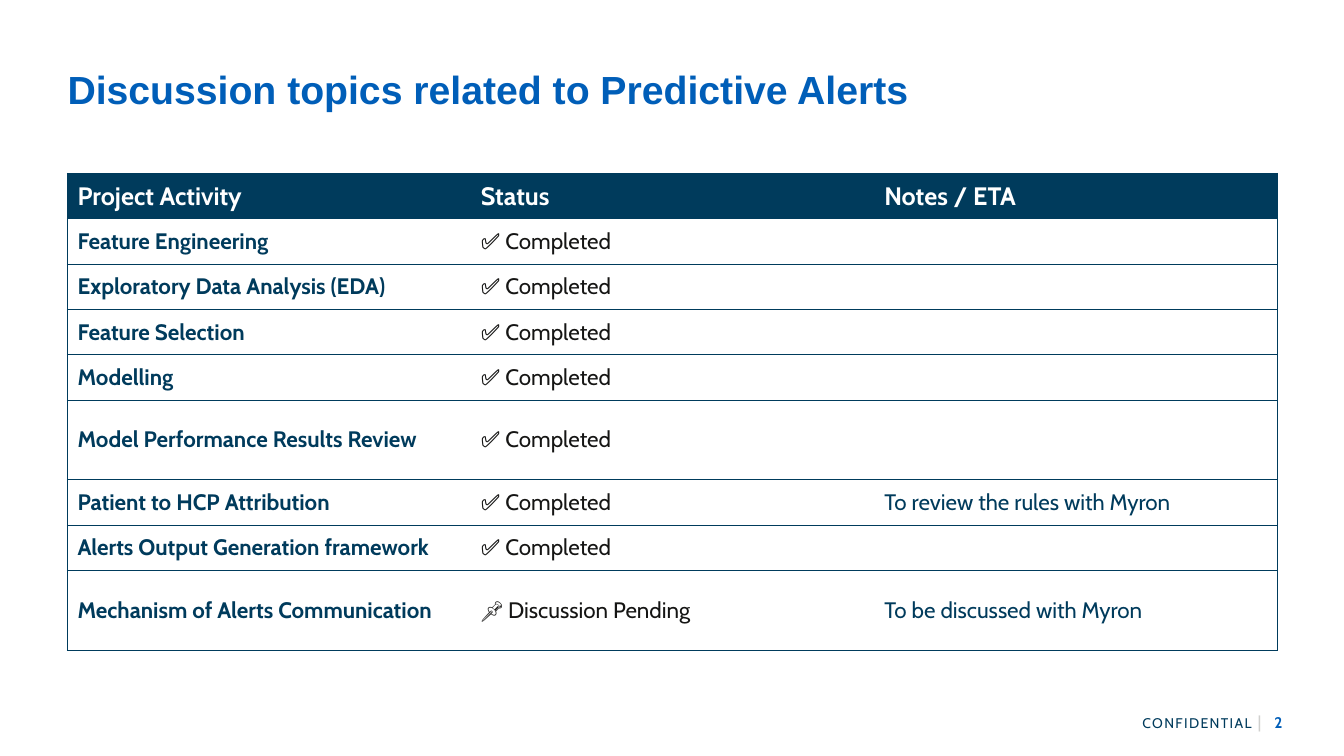
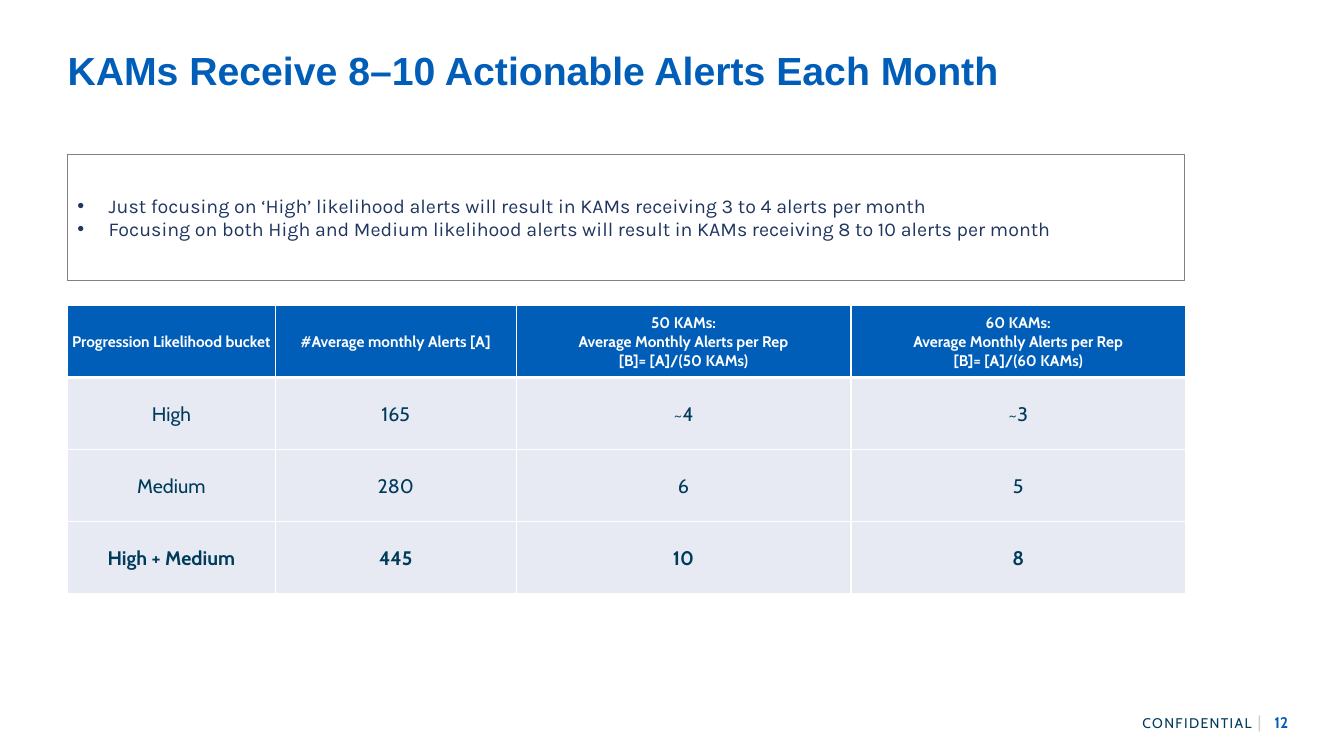
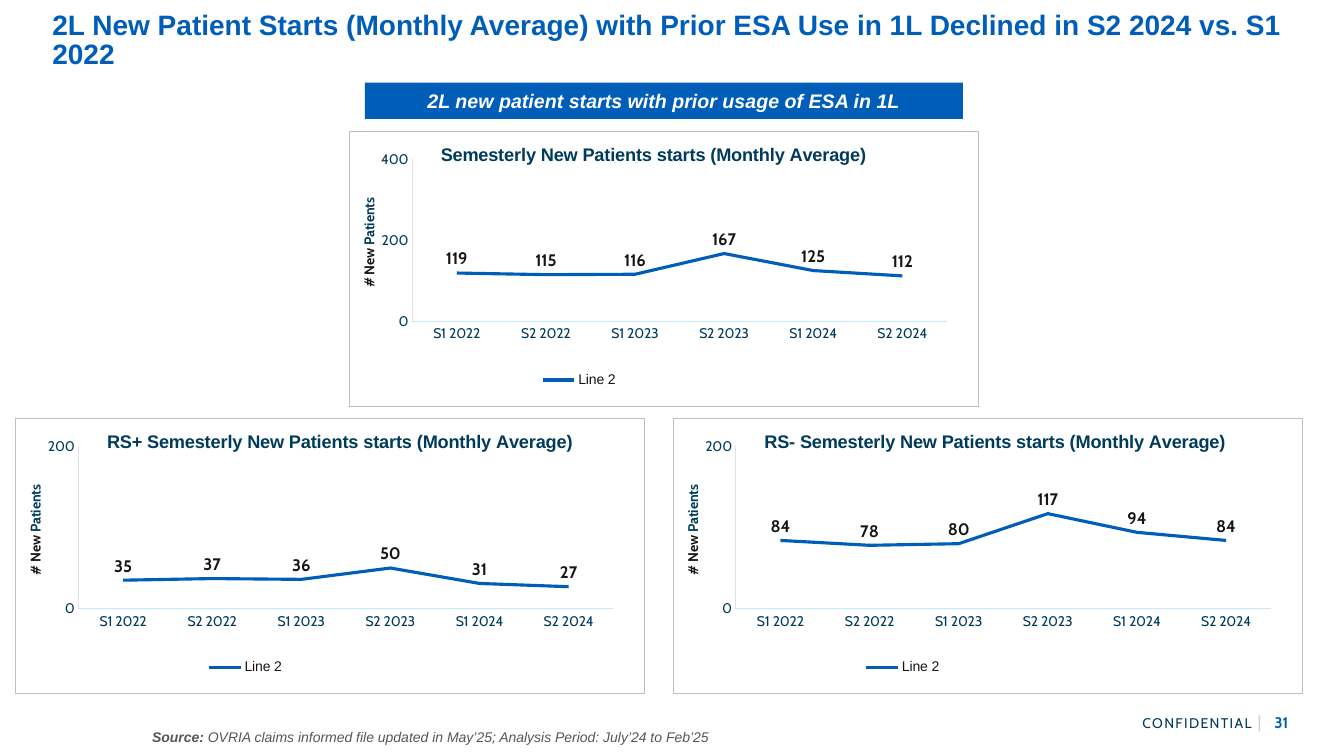
"""Build three slides on predictive alerts: project status, alert volume and new patient starts."""
from dataclasses import dataclass, replace
from typing import Optional, Sequence

from lxml import etree
from pptx import Presentation
from pptx.chart.data import CategoryChartData
from pptx.dml.color import RGBColor
from pptx.enum import chart as ch, shapes, text
from pptx.oxml.ns import qn
from pptx.util import Inches, Pt

NAVY = RGBColor(0x00, 0x3B, 0x5C)
BLUE = RGBColor(0x00, 0x5E, 0xB8)
INDIGO = RGBColor(0x20, 0x36, 0x61)
INK = RGBColor(0x15, 0x15, 0x14)
SLATE = RGBColor(0x54, 0x56, 0x5B)
GRAY = RGBColor(0x80, 0x80, 0x80)
SILVER = RGBColor(0xBF, 0xBF, 0xBF)
RULE = RGBColor(0xD0, 0xD0, 0xCE)
SKY = RGBColor(0xC0, 0xE9, 0xFF)
MIST = RGBColor(0xDB, 0xE3, 0xE7)
LILAC = RGBColor(0xE7, 0xEA, 0xF3)
WHITE = RGBColor(0xFF, 0xFF, 0xFF)

CENTER, RIGHT = text.PP_ALIGN.CENTER, text.PP_ALIGN.RIGHT
TOP, MIDDLE, BOTTOM = text.MSO_ANCHOR.TOP, text.MSO_ANCHOR.MIDDLE, text.MSO_ANCHOR.BOTTOM
FLUSH = (0, 0, 0, 0)
PADDED = (0.1, 0.05, 0.1, 0.05)
TITLE_BOX = (0.67, 0.26, 12, 0.86)
PERIODS = [f"S{half} {year}" for year in (2022, 2023, 2024) for half in (1, 2)]


@dataclass(frozen=True)
class Style:
    size: float
    color: RGBColor
    name: str = "Cabin"
    bold: bool = False
    italic: bool = False


@dataclass(frozen=True)
class Border:
    color: Optional[RGBColor]
    width: float = 1


@dataclass(frozen=True)
class LineChart:
    left: float
    top: float
    title: str
    maximum: int
    values: Sequence[int]


TITLE = Style(28, BLUE, "Arial", bold=True)
BODY = Style(16, NAVY)
AXIS = Style(10, NAVY)

STATUS_ROWS = [
    ("Feature Engineering", "✅ Completed", ""),
    ("Exploratory Data Analysis (EDA)", "✅ Completed", ""),
    ("Feature Selection", "✅ Completed", ""),
    ("Modelling", "✅ Completed", ""),
    ("Model Performance Results Review", "✅ Completed", ""),
    ("Patient to HCP Attribution", "✅ Completed", "To review the rules with Myron"),
    ("Alerts Output Generation framework", "✅ Completed", ""),
    ("Mechanism of Alerts Communication", "📌 Discussion Pending", "To be discussed with Myron"),
]
TALL_STATUS_ROWS = (5, 8)
ALERT_ROWS = [
    ("Progression Likelihood bucket", "#Average monthly Alerts [A]",
     *(f"{kams} KAMs:\nAverage Monthly Alerts per Rep\n[B]= [A]/({kams} KAMs)" for kams in (50, 60))),
    ("High", "165", "~4", "~3"),
    ("Medium", "280", "6", "5"),
    ("High + Medium", "445", "10", "8"),
]
ALERT_POINTS = [
    "Just focusing on ‘High’ likelihood alerts will result in KAMs receiving 3 to 4 alerts per month",
    "Focusing on both High and Medium likelihood alerts will result in KAMs receiving 8 to 10 alerts per month",
]
CHARTS = [
    LineChart(3.46, 1.3, "Semesterly New Patients starts (Monthly Average)", 400,
              (119, 115, 116, 167, 125, 112)),
    LineChart(0.15, 4.15, "RS+ Semesterly New Patients starts (Monthly Average)", 200,
              (35, 37, 36, 50, 31, 27)),
    LineChart(6.67, 4.15, "RS- Semesterly New Patients starts (Monthly Average)", 200,
              (84, 78, 80, 117, 94, 84)),
]


def set_font(font, style: Style) -> None:
    font.size, font.name = Pt(style.size), style.name
    font.bold, font.italic = style.bold, style.italic
    font.color.rgb = style.color


def add_run(p, words: str, style: Style):
    r = p.add_run()
    r.text = words
    set_font(r.font, style)
    return r


def set_frame(tf, anchor, insets: Sequence[float]) -> None:
    tf.word_wrap, tf.vertical_anchor = True, anchor
    tf.margin_left, tf.margin_top, tf.margin_right, tf.margin_bottom = map(Inches, insets)


def write(tf, words: str, style: Style, align=None) -> None:
    tf.text = words
    for p in tf.paragraphs:
        p.alignment = align
        set_font(p.font, style)


def add_text(s, box: Sequence[float], anchor=MIDDLE, insets=PADDED):
    tf = s.shapes.add_textbox(*map(Inches, box)).text_frame
    set_frame(tf, anchor, insets)
    return tf


def add_box(s, box: Sequence[float]):
    sp = s.shapes.add_shape(shapes.MSO_SHAPE.RECTANGLE, *map(Inches, box))
    sp.shadow.inherit = False
    set_frame(sp.text_frame, MIDDLE, PADDED)
    return sp


def new_slide(prs, number: int):
    s = prs.slides.add_slide(prs.slide_layouts[6])
    write(add_text(s, (12.64, 7.08, 0.54, 0.17), insets=FLUSH), str(number), Style(11, BLUE, bold=True))
    p = add_text(s, (11.14, 7.08, 1.47, 0.17)).paragraphs[0]
    p.alignment = RIGHT
    r = add_run(p, "CONFIDENTIAL ", AXIS)
    r._r.get_or_add_rPr().set("spc", "100")
    add_run(p, "|", Style(12, RULE))
    return s


def set_borders(cell, left: Border, right: Border, top: Border, bottom: Border) -> None:
    tc_pr = cell._tc.get_or_add_tcPr()
    for side, border in zip("LRTB", (left, right, top, bottom)):
        ln = etree.SubElement(tc_pr, qn(f"a:ln{side}"), w=str(Pt(border.width)))
        if border.color is None:
            etree.SubElement(ln, qn("a:noFill"))
        else:
            add_solid(ln, border.color)


def add_solid(parent, color: RGBColor) -> None:
    solid = etree.SubElement(parent, qn("a:solidFill"))
    etree.SubElement(solid, qn("a:srgbClr"), val=str(color))


def add_table(s, rows: int, widths: Sequence[float], box: Sequence[float]):
    table = s.shapes.add_table(rows, len(widths), *map(Inches, box)).table
    table.first_row = table.horz_banding = False
    for column, width in zip(table.columns, widths):
        column.width = Inches(width)
    return table


def fill_cell(cell, words: str, style: Style, fill: RGBColor, align=None) -> None:
    cell.fill.solid()
    cell.fill.fore_color.rgb = fill
    cell.vertical_anchor = MIDDLE
    write(cell.text_frame, words, style, align)


def add_status_table(s) -> None:
    rows = [("Project Activity", "Status", "Notes / ETA"), *STATUS_ROWS]
    table = add_table(s, len(rows), (4, 4, 4), (0.67, 1.72, 12, 4.73))
    columns = (replace(BODY, bold=True), replace(BODY, color=INK), BODY)
    edge, none = Border(NAVY), Border(None)
    for i, row in enumerate(rows):
        table.rows[i].height = Inches(0.79 if i in TALL_STATUS_ROWS else 0.45)
        for j, words in enumerate(row):
            cell = table.cell(i, j)
            set_borders(cell, edge if j == 0 else none, edge if j == 2 else none, edge, edge)
            style = columns[j] if i else Style(18, WHITE, bold=True)
            fill_cell(cell, words, style, WHITE if i else NAVY)


def add_alert_table(s) -> None:
    table = add_table(s, len(ALERT_ROWS), (2.06, 2.39, 3.32, 3.32), (0.67, 3.03, 11.08, 2.86))
    thin, thick = Border(WHITE), Border(WHITE, 3)
    last = len(ALERT_ROWS) - 1
    for i, row in enumerate(ALERT_ROWS):
        style = Style(14, NAVY, bold=i == last) if i else Style(11, WHITE, bold=True)
        for j, words in enumerate(row):
            cell = table.cell(i, j)
            set_borders(cell, thin, thin, thick if i == 1 else thin, thin if i else thick)
            cell.margin_left = cell.margin_top = cell.margin_right = Inches(0.01)
            cell.margin_bottom = 0
            fill_cell(cell, words, style, LILAC if i else BLUE, CENTER)


def write_bullets(tf, lines: Sequence[str], style: Style) -> None:
    tf.text = "\n".join(lines)
    for p in tf.paragraphs:
        p.alignment = text.PP_ALIGN.LEFT
        p_pr = p._p.get_or_add_pPr()
        p_pr.set("marL", str(Inches(0.31)))
        p_pr.set("indent", str(-Inches(0.31)))
        etree.SubElement(p_pr, qn("a:buFont"), typeface="Arial")
        etree.SubElement(p_pr, qn("a:buChar"), char="•")
        set_font(p.font, style)


def place(element, after: Optional[str], **fractions: float) -> None:
    for old in element.findall(qn("c:layout")):
        element.remove(old)
    layout = etree.Element(qn("c:layout"))
    manual = etree.SubElement(layout, qn("c:manualLayout"))
    if "w" in fractions:
        etree.SubElement(manual, qn("c:layoutTarget"), val="inner")
    for side in "xy":
        etree.SubElement(manual, qn(f"c:{side}Mode"), val="edge")
    for key, value in fractions.items():
        etree.SubElement(manual, qn(f"c:{key}"), val=str(value))
    if after is None:
        element.insert(0, layout)
    else:
        element.find(qn(after)).addnext(layout)


def set_chart_border(chart, color: RGBColor) -> None:
    sp_pr = etree.Element(qn("c:spPr"))
    etree.SubElement(sp_pr, qn("a:noFill"))
    add_solid(etree.SubElement(sp_pr, qn("a:ln"), w=str(Pt(0.75))), color)
    chart.element.find(qn("c:chart")).addnext(sp_pr)


def style_axis(axis, color: RGBColor) -> None:
    axis.has_major_gridlines = False
    axis.major_tick_mark = axis.minor_tick_mark = ch.XL_TICK_MARK.NONE
    set_font(axis.tick_labels.font, AXIS)
    axis.format.line.color.rgb = color
    axis.format.line.width = Pt(0.75)


def add_line_chart(s, spec: LineChart) -> None:
    data = CategoryChartData()
    data.categories = PERIODS
    data.add_series("Line 2", spec.values)
    box = (spec.left, spec.top, 6.25, 2.74)
    chart = s.shapes.add_chart(ch.XL_CHART_TYPE.LINE, *map(Inches, box), data).chart
    set_font(chart.font, AXIS)
    set_chart_border(chart, SILVER)
    root = chart.element.find(qn("c:chart"))
    place(root.find(qn("c:plotArea")), None, x=0.1, y=0.1, w=0.85, h=0.59)

    chart.has_title = True
    add_run(chart.chart_title.text_frame.paragraphs[0], spec.title, Style(13, NAVY, "Arial", bold=True))
    chart.chart_title.include_in_layout = True
    title = root.find(qn("c:title"))
    place(title, "c:tx", x=0.14, y=0.03)
    title.find(qn("c:overlay")).set("val", "1")

    chart.has_legend = True
    chart.legend.position = ch.XL_LEGEND_POSITION.BOTTOM
    chart.legend.include_in_layout = False
    set_font(chart.legend.font, Style(10, INK, "Arial"))
    place(root.find(qn("c:legend")), "c:legendPos", x=0.3, y=0.86)

    style_axis(chart.category_axis, SKY)
    axis = chart.value_axis
    style_axis(axis, MIST)
    axis.minimum_scale, axis.maximum_scale, axis.major_unit = 0, spec.maximum, 200
    p = axis.axis_title.text_frame.paragraphs[0]
    add_run(p, "# New ", Style(10, INK, bold=True))
    add_run(p, "Patients", replace(AXIS, bold=True))
    axis_title = root.find(".//" + qn("c:valAx")).find(qn("c:title"))
    place(axis_title, "c:tx", x=0.01, y=0.23)
    body = axis_title.find(".//" + qn("a:bodyPr"))
    body.set("rot", "-5400000")
    body.set("vert", "horz")

    plot = chart.plots[0]
    plot.vary_by_categories = False
    series = plot.series[0]
    series.smooth = False
    series.format.line.color.rgb = BLUE
    series.format.line.width = Pt(2.25)
    plot.has_data_labels = True
    labels = plot.data_labels
    labels.show_value, labels.position = True, ch.XL_LABEL_POSITION.ABOVE
    labels.number_format, labels.number_format_is_linked = "0", False
    set_font(labels.font, Style(12, INK, bold=True))


def status_slide(prs) -> None:
    s = new_slide(prs, 2)
    write(add_text(s, TITLE_BOX, BOTTOM, FLUSH), "Discussion topics related to Predictive Alerts", TITLE)
    add_status_table(s)


def alerts_slide(prs) -> None:
    s = new_slide(prs, 12)
    write(add_text(s, TITLE_BOX, MIDDLE, FLUSH), "KAMs Receive 8–10 Actionable Alerts Each Month", TITLE)
    add_alert_table(s)
    sp = add_box(s, (0.67, 1.53, 11.08, 1.25))
    sp.fill.background()
    sp.line.color.rgb = GRAY
    sp.line.width = Pt(0.75)
    write_bullets(sp.text_frame, ALERT_POINTS, Style(14, INDIGO, "Karla"))


def starts_slide(prs) -> None:
    s = new_slide(prs, 31)
    tf = add_text(s, (0.42, 0.08, 12.49, 0.64), TOP)
    write(tf, "2L New Patient Starts (Monthly Average) with Prior ESA Use in 1L Declined in S2 2024 vs. S1 2022",
          replace(TITLE, size=20))
    tf.paragraphs[0].line_spacing = 0.85
    p = add_text(s, (1.41, 7.18, 10.51, 0.27), TOP).paragraphs[0]
    source = Style(10, SLATE, "Arial", italic=True)
    add_run(p, "Source: ", replace(source, bold=True))
    add_run(p, "OVRIA claims informed file updated in May’25; Analysis Period: July’24 to Feb’25", source)
    for spec in CHARTS:
        add_line_chart(s, spec)
    sp = add_box(s, (3.62, 0.82, 5.93, 0.36))
    sp.fill.solid()
    sp.fill.fore_color.rgb = BLUE
    sp.line.fill.background()
    write(sp.text_frame, "2L new patient starts with prior usage of ESA in 1L",
          Style(14, WHITE, "Arial", bold=True, italic=True), CENTER)


def main() -> None:
    prs = Presentation()
    prs.slide_width, prs.slide_height = Inches(13.33), Inches(7.5)
    for build in (status_slide, alerts_slide, starts_slide):
        build(prs)
    prs.save("out.pptx")


if __name__ == "__main__":
    main()
